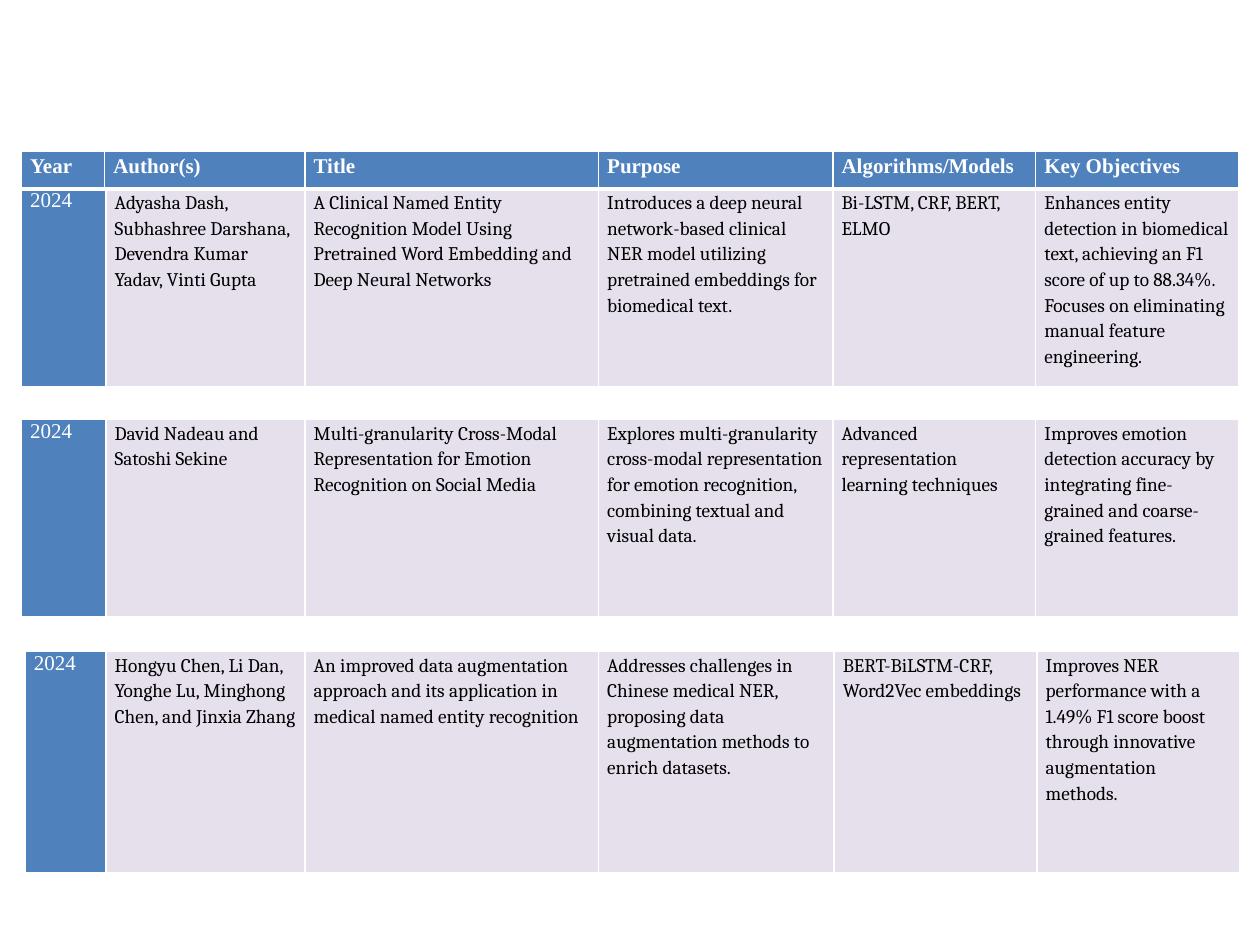
"""Build a literature survey slide: a header table above one table per paper."""
import lxml.etree
import pptx
import pptx.dml.color
import pptx.oxml.ns
import pptx.util

Inches, Pt = pptx.util.Inches, pptx.util.Pt

COLORS = {"blue": "4F81BD", "lilac": "E6E0EC", "white": "FFFFFF", "black": "000000"}
LABEL_FONT, BODY_FONT = "Times New Roman", "Cambria"
BORDERS = {"lnL": 1, "lnR": 1, "lnT": 1, "lnB": 3}
RIGHT_COLS = [2.33, 1.86, 1.61, 1.61]

HEADER = ["Year", "Author(s)", "Title", "Purpose", "Algorithms/Models", "Key Objectives"]
PAPERS = [
    ["2024",
     "Adyasha Dash, Subhashree Darshana, Devendra Kumar Yadav, Vinti Gupta",
     "A Clinical Named Entity Recognition Model Using Pretrained Word Embedding and Deep Neural Networks",
     "Introduces a deep neural network-based clinical NER model utilizing pretrained embeddings for biomedical text.",
     "Bi-LSTM, CRF, BERT, ELMO",
     "Enhances entity detection in biomedical text, achieving an F1 score of up to 88.34%. "
     "Focuses on eliminating manual feature engineering."],
    ["2024",
     "David Nadeau and Satoshi Sekine",
     "Multi-granularity Cross-Modal Representation for Emotion Recognition on Social Media",
     "Explores multi-granularity cross-modal representation for emotion recognition, "
     "combining textual and visual data.",
     "Advanced representation learning techniques",
     "Improves emotion detection accuracy by integrating fine-grained and coarse-grained features."],
    ["2024",
     "Hongyu Chen, Li Dan, Yonghe Lu, Minghong Chen, and Jinxia Zhang",
     "An improved data augmentation approach and its application in medical named entity recognition",
     "Addresses challenges in Chinese medical NER, proposing data augmentation methods to enrich datasets.",
     "BERT-BiLSTM-CRF, Word2Vec embeddings",
     "Improves NER performance with a 1.49% F1 score boost through innovative augmentation methods."],
]
PAPER_BOXES = [
    (0.17, 1.5, 1.58, [0.67, 1.58] + RIGHT_COLS),
    (0.17, 3.33, 1.58, [0.67, 1.58] + RIGHT_COLS),
    (0.2, 5.17, 1.77, [0.64, 1.58, 2.33, 1.87, 1.61, 1.61]),
]
HEADER_BOX = (0.17, 1.2, 0.3, [0.66, 1.59] + RIGHT_COLS)


def rgb(name):
    return pptx.dml.color.RGBColor.from_string(COLORS[name])


def add_borders(cell):
    qn = pptx.oxml.ns.qn
    tcPr = cell._tc.get_or_add_tcPr()
    for tag, width in BORDERS.items():
        ln = lxml.etree.SubElement(tcPr, qn("a:" + tag), w=str(Pt(width)))
        fill = lxml.etree.SubElement(ln, qn("a:solidFill"))
        lxml.etree.SubElement(fill, qn("a:srgbClr"), val=COLORS["white"])


def fill_cell(cell, text, label, header):
    add_borders(cell)
    cell.fill.solid()
    cell.fill.fore_color.rgb = rgb("blue" if label else "lilac")
    cell.margin_left = cell.margin_right = Inches(0.07)
    cell.margin_top = cell.margin_bottom = 0
    p = cell.text_frame.paragraphs[0]
    p.text = text
    if header or not label:
        p.line_spacing = 1.15
        p.space_after = Pt(10)
    font = p.runs[0].font
    font.name = LABEL_FONT if label else BODY_FONT
    font.size = Pt(12 if label else 11)
    font.bold = header
    font.color.rgb = rgb("white" if label else "black")


def add_row_table(slide, texts, box, header=False):
    left, top, height, widths = box
    table = slide.shapes.add_table(1, len(texts), Inches(left), Inches(top),
                                   Inches(sum(widths)), Inches(height)).table
    table.first_row = header
    table.first_col = not header
    table.horz_banding = False
    for i, (text, width) in enumerate(zip(texts, widths)):
        table.columns[i].width = Inches(width)
        fill_cell(table.cell(0, i), text, header or i == 0, header)


def main():
    prs = pptx.Presentation()
    prs.slide_width, prs.slide_height = Inches(10), Inches(7.5)
    slide = prs.slides.add_slide(prs.slide_layouts[6])
    for texts, box in zip(PAPERS, PAPER_BOXES):
        add_row_table(slide, texts, box)
    add_row_table(slide, HEADER, HEADER_BOX, header=True)
    prs.save("out.pptx")


if __name__ == "__main__":
    main()
